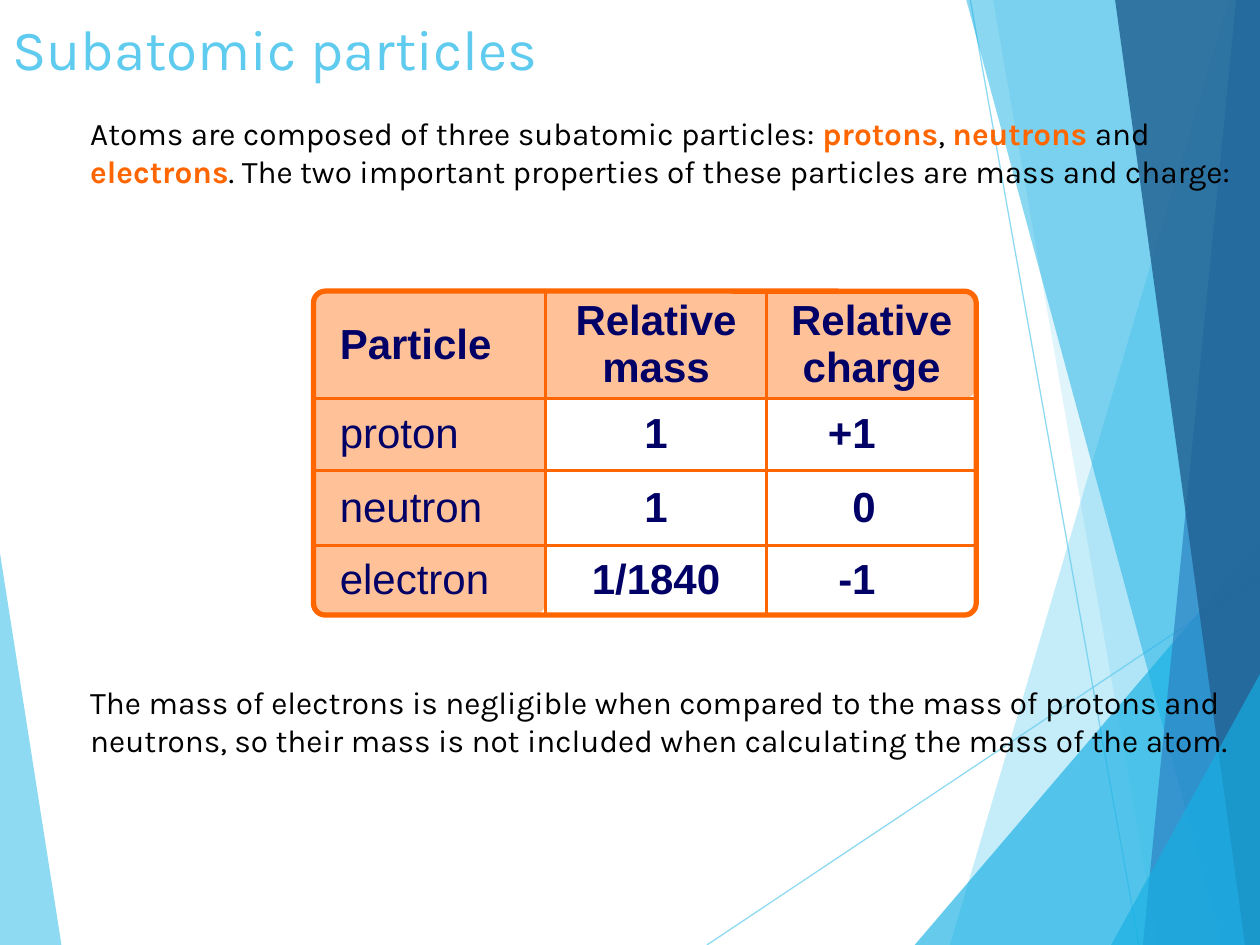
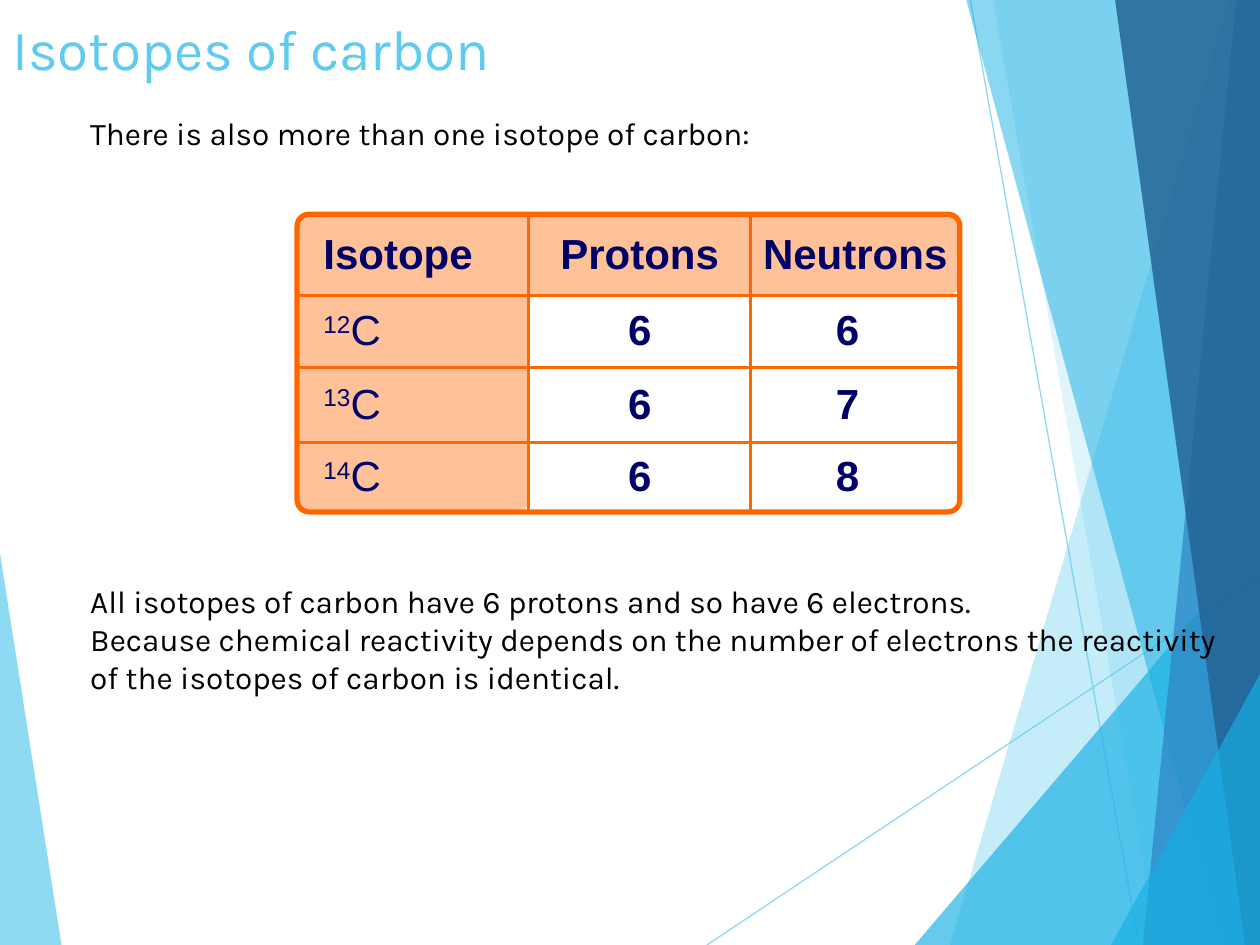
from dataclasses import dataclass

from lxml.etree import SubElement
from pptx import Presentation
from pptx.dml.color import RGBColor
from pptx.enum.shapes import MSO_CONNECTOR, MSO_SHAPE
from pptx.enum.text import MSO_ANCHOR, PP_ALIGN
from pptx.oxml.ns import qn
from pptx.util import Cm, Pt


@dataclass(frozen=True)
class Theme:
    """Colours, fonts and type sizes shared by the slides."""
    sky: str = "5FCBEF"
    cyan: str = "17B0E4"
    blue: str = "2E83C3"
    deep: str = "226292"
    ink: str = "000000"
    navy: str = "010066"
    orange: str = "FF6600"
    peach: str = "FFC197"
    text_font: str = "Karla"
    table_font: str = "Arial"
    title_size: float = 32.4
    body_size: float = 18
    table_size: float = 24
    hairline: float = 0.75
    rule: float = 2
    frame: float = 3


@dataclass(frozen=True)
class Span:
    """A stretch of text with one look."""
    text: str
    color: str
    bold: bool = False
    raised: bool = False


@dataclass(frozen=True)
class Box:
    """A rectangle in centimetres."""
    left: float
    top: float
    width: float
    height: float

    def lengths(self):
        """Return the four sides as slide lengths."""
        return Cm(self.left), Cm(self.top), Cm(self.width), Cm(self.height)


THEME = Theme()
SLIDE = Box(0, 0, 25.4, 19.05)
TITLE = Box(0, 0.15, 20.12, 1.52)
COLUMN_WIDTHS = (4.67, 4.47, 4.22)
BODY_ROW_HEIGHTS = (1.45, 1.52, 1.4)
CORNER_RADIUS = 0.24
COLUMN_STYLES = (
    (PP_ALIGN.LEFT, 0.53, 0.1),
    (PP_ALIGN.CENTER, 0.1, 0.1),
    (PP_ALIGN.RIGHT, 0.1, 2.03),
)
RAYS = (((14.25, 19.05), (25.4, 11.61)), ((19.56, 0), (22.96, 19.05)))
SHARDS = (
    (0, 11.15, 1.24, 0, THEME.sky, 70),
    (24.77, 0, 19.15, 25.4, THEME.sky, 36),
    (20.02, 0, 23.34, 25.4, THEME.sky, 20),
    (25.4, 10.9, 18.44, 25.4, THEME.cyan, 66),
    (19.48, 0, 24.64, 25.4, THEME.cyan, 50),
    (24.92, 0, 23.04, 25.4, THEME.blue, 70),
    (22.48, 0, 25.1, 25.4, THEME.deep, 82),
    (25.4, 13.59, 22.4, 25.4, THEME.cyan, 66),
)


def rgb(color):
    """Turn a hexadecimal string into a colour."""
    return RGBColor.from_string(color)


def set_opacity(shape, percent):
    """Make the coloured part of a shape or connector see-through."""
    color = next(shape._element.spPr.iter(qn("a:srgbClr")))
    SubElement(color, qn("a:alpha")).set("val", str(percent * 1000))


def add_spans(paragraph, spans, font_name, size):
    """Write spans into a paragraph, run by run."""
    for span in spans:
        run = paragraph.add_run()
        run.text = span.text
        run.font.name = font_name
        run.font.size = Pt(size)
        run.font.bold = span.bold
        run.font.color.rgb = rgb(span.color)
        if span.raised:
            run._r.get_or_add_rPr().set("baseline", "30000")


def add_text(slide, box, paragraphs, size):
    """Add a wrapped text box, one list of spans to a paragraph."""
    frame = slide.shapes.add_textbox(*box.lengths()).text_frame
    frame.word_wrap = True
    for index, spans in enumerate(paragraphs):
        paragraph = frame.add_paragraph() if index else frame.paragraphs[0]
        add_spans(paragraph, spans, THEME.text_font, size)


def add_backdrop(slide):
    """Draw the thin rays and translucent shards at the slide edges."""
    for start, end in RAYS:
        ray = slide.shapes.add_connector(
            MSO_CONNECTOR.STRAIGHT, *(Cm(value) for value in start + end))
        ray.line.color.rgb = rgb(THEME.sky)
        ray.line.width = Pt(THEME.hairline)
        set_opacity(ray, 70)
        SubElement(ray._element.spPr, qn("a:effectLst"))
    for top_x, top_y, bottom_x, edge_x, color, opacity in SHARDS:
        bottom = SLIDE.height
        corners = [(bottom_x, bottom), (edge_x, bottom), (edge_x, top_y)]
        builder = slide.shapes.build_freeform(Cm(top_x), Cm(top_y))
        builder.add_line_segments([(Cm(x), Cm(y)) for x, y in corners])
        shard = builder.convert_to_shape()
        shard.shadow.inherit = False
        shard.fill.solid()
        shard.fill.fore_color.rgb = rgb(color)
        shard.line.fill.background()
        set_opacity(shard, opacity)


def add_rounded(slide, box, fill=None, line=None):
    """Add a rounded rectangle that is either filled or outlined."""
    shape = slide.shapes.add_shape(MSO_SHAPE.ROUNDED_RECTANGLE, *box.lengths())
    shape.adjustments[0] = CORNER_RADIUS / min(box.width, box.height)
    shape.shadow.inherit = False
    if fill:
        shape.fill.solid()
        shape.fill.fore_color.rgb = rgb(fill)
    else:
        shape.fill.background()
    if line:
        shape.line.color.rgb = rgb(line)
        shape.line.width = Pt(THEME.frame)
    else:
        shape.line.fill.background()


def set_borders(cell, inner_sides):
    """Rule the inner sides of a cell and clear the outer ones."""
    properties = cell._tc.get_or_add_tcPr()
    for side in ("L", "R", "T", "B"):
        border = SubElement(properties, qn(f"a:ln{side}"))
        if side in inner_sides:
            border.set("w", str(Pt(THEME.rule)))
            fill = SubElement(border, qn("a:solidFill"))
            SubElement(fill, qn("a:srgbClr")).set("val", THEME.orange)
        else:
            SubElement(border, qn("a:noFill"))


def fill_cell(cell, spans, alignment, left, right):
    """Write and place the content of one table cell."""
    cell.fill.background()
    cell.vertical_anchor = MSO_ANCHOR.MIDDLE
    cell.margin_left, cell.margin_right = Cm(left), Cm(right)
    cell.margin_top = cell.margin_bottom = Cm(0.05)
    paragraph = cell.text_frame.paragraphs[0]
    paragraph.alignment = alignment
    add_spans(paragraph, spans, THEME.table_font, THEME.table_size)


def add_particle_table(slide, left, top, header_height, headings, rows):
    """Add a table with tinted header and first column in a rounded frame."""
    heights = (header_height, *BODY_ROW_HEIGHTS)
    box = Box(left, top, sum(COLUMN_WIDTHS), sum(heights))
    add_rounded(slide, Box(left, top, box.width, header_height), THEME.peach)
    add_rounded(slide, Box(left, top, COLUMN_WIDTHS[0], box.height), THEME.peach)

    content = [[[Span(text, THEME.navy, True)] for text in headings]]
    for label, *values in rows:
        content.append([label] + [[Span(value, THEME.navy, True)] for value in values])
    table = slide.shapes.add_table(
        len(heights), len(COLUMN_WIDTHS), *box.lengths()).table
    table.first_row = table.horz_banding = False
    for column, width in zip(table.columns, COLUMN_WIDTHS):
        column.width = Cm(width)
    for row, height in zip(table.rows, heights):
        row.height = Cm(height)

    last_row, last_column = len(heights) - 1, len(COLUMN_WIDTHS) - 1
    for row_index, row in enumerate(content):
        for column_index, spans in enumerate(row):
            cell = table.cell(row_index, column_index)
            inner = {"L": column_index > 0, "R": column_index < last_column,
                     "T": row_index > 0, "B": row_index < last_row}
            set_borders(cell, [side for side, shown in inner.items() if shown])
            style = COLUMN_STYLES[column_index]
            if row_index == 0 and column_index > 0:
                style = COLUMN_STYLES[1]
            fill_cell(cell, spans, *style)
    add_rounded(slide, box, line=THEME.orange)


def text_box(top, height):
    """Return the box of a body text at a given height on the slide."""
    return Box(1.57, top, 23.83, height)


def add_base_slide(presentation, title):
    """Add a slide with the shared backdrop and title."""
    slide = presentation.slides.add_slide(presentation.slide_layouts[6])
    add_backdrop(slide)
    add_text(slide, TITLE, [[Span(title, THEME.sky)]], THEME.title_size)
    return slide


def add_particles_slide(presentation):
    """Build the slide on the three subatomic particles."""
    slide = add_base_slide(presentation, "Subatomic particles")
    labels = ("proton", "neutron", "electron")
    values = (("1", "+1"), ("1", "0"), ("1/1840", "-1"))
    rows = [([Span(label, THEME.navy)], *pair) for label, pair in zip(labels, values)]
    add_particle_table(slide, 6.32, 5.87, 2.16,
                       ("Particle", "Relative mass", "Relative charge"), rows)
    introduction = [
        Span("Atoms are composed of three subatomic particles: ", THEME.ink),
        Span("protons", THEME.orange, True),
        Span(", ", THEME.ink),
        Span("neutrons", THEME.orange, True),
        Span(" and ", THEME.ink),
        Span("electrons", THEME.orange, True),
        Span(". The two important properties of these particles are "
             "mass and charge:", THEME.ink),
    ]
    conclusion = [Span(
        "The mass of electrons is negligible when compared to the mass of protons and "
        "neutrons, so their mass is not included when calculating the mass of the atom.",
        THEME.ink)]
    add_text(slide, text_box(2.18, 3.3), [introduction], THEME.body_size)
    add_text(slide, text_box(13.64, 3.3), [conclusion], THEME.body_size)


def add_isotopes_slide(presentation):
    """Build the slide on the isotopes of carbon."""
    slide = add_base_slide(presentation, "Isotopes of carbon")
    rows = [([Span(str(mass), THEME.navy, raised=True), Span("C", THEME.navy)],
             "6", str(mass - 6)) for mass in (12, 13, 14)]
    add_particle_table(slide, 5.99, 4.32, 1.63,
                       ("Isotope", "Protons", "Neutrons"), rows)
    introduction = [Span("There is also more than one isotope of carbon:", THEME.ink)]
    conclusions = (
        "All isotopes of carbon have 6 protons and so have 6 electrons.",
        "Because chemical reactivity depends on the number of electrons "
        "the reactivity of the isotopes of carbon is identical.",
    )
    add_text(slide, text_box(2.18, 1.27), [introduction], THEME.body_size)
    add_text(slide, text_box(11.61, 4.83),
             [[Span(text, THEME.ink)] for text in conclusions], THEME.body_size)


def main():
    """Build and save the presentation."""
    presentation = Presentation()
    presentation.slide_width = Cm(SLIDE.width)
    presentation.slide_height = Cm(SLIDE.height)
    add_particles_slide(presentation)
    add_isotopes_slide(presentation)
    presentation.save("out.pptx")


if __name__ == "__main__":
    main()
